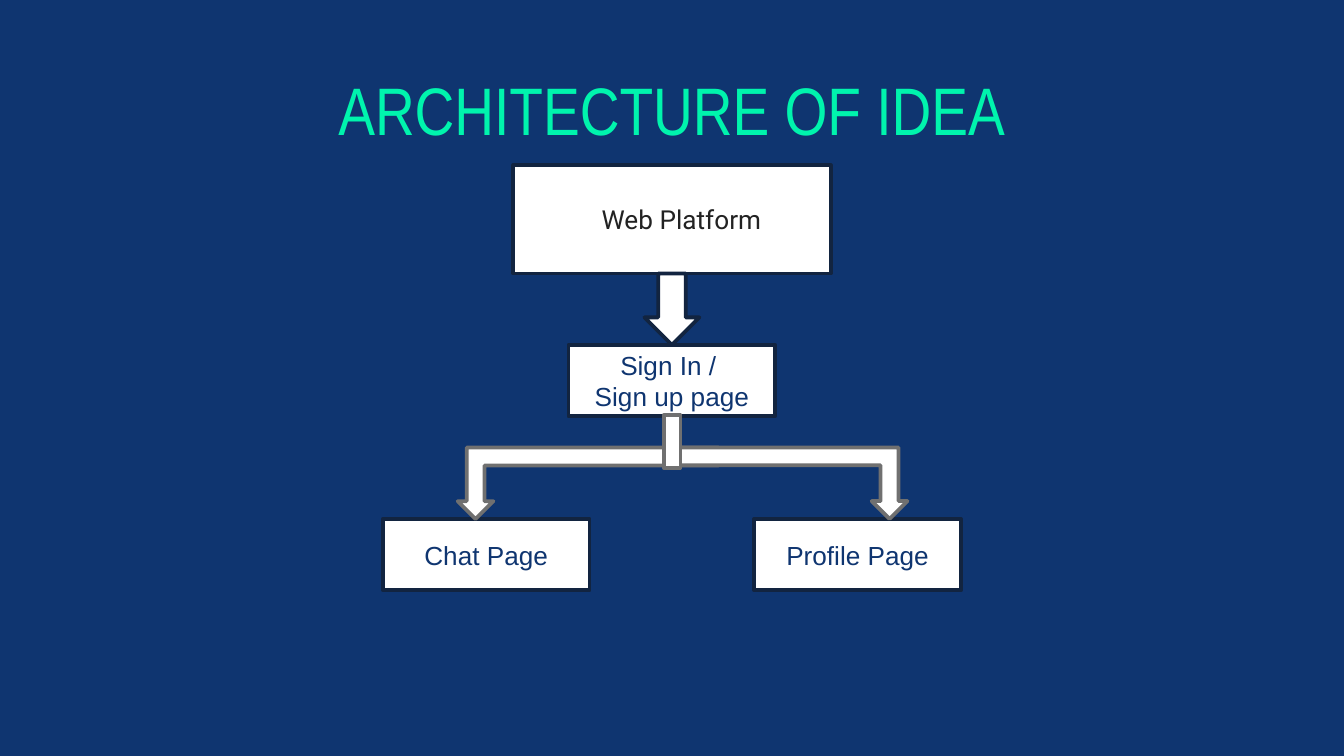
from lxml import etree
from pptx import Presentation
from pptx.dml.color import RGBColor
from pptx.enum.shapes import MSO_SHAPE
from pptx.enum.text import MSO_ANCHOR, MSO_AUTO_SIZE, PP_ALIGN
from pptx.oxml.ns import qn
from pptx.util import Cm, Pt

COLORS = {"navy": "0F3570", "mint": "00F4AD", "white": "FFFFFF",
          "edge": "122440", "gray": "707070", "ink": "222222"}

# Content
TITLE = "ARCHITECTURE OF IDEA"
PLATFORM = "Web Platform"
SIGN_IN = ["Sign In / ", "Sign up page"]
PAGES = ["Chat Page", "Profile Page"]

# Layout in cm
SLIDE_W, SLIDE_H = 25.4, 14.29
MID = SLIDE_W / 2
PAGE_W, UNIT = 3.91, 1.35    # page box width; height shared by boxes and arrows
TOP_W, TOP_H, TOP_Y = 6, 2.05, 3.12
ARROW_Y = TOP_Y + TOP_H
SIGN_Y = ARROW_Y + UNIT
PAGE_Y = 9.81
PAGE_OFFSET = 3.51           # page box centre from the slide centre


def rgb(name):
    return RGBColor.from_string(COLORS[name])


def place(s, x, y, w, h):
    s.left, s.top, s.width, s.height = Cm(x), Cm(y), Cm(w), Cm(h)


def paint(s, line):
    s.fill.solid()
    s.fill.fore_color.rgb = rgb("white")
    s.line.color.rgb = rgb(line)
    s.line.width = Pt(2)


def write(s, lines, size=14, font="Arial", color="navy",
          anchor=MSO_ANCHOR.MIDDLE, margin=None, indent=None):
    tf = s.text_frame
    tf.word_wrap = True
    tf.auto_size = MSO_AUTO_SIZE.NONE
    tf.vertical_anchor = anchor
    if margin is not None:
        tf.margin_left = tf.margin_right = tf.margin_top = tf.margin_bottom = Cm(margin)
    for i, line in enumerate(lines):
        p = tf.paragraphs[0] if i == 0 else tf.add_paragraph()
        p.alignment = PP_ALIGN.CENTER
        p.space_before = Pt(0)
        if indent is not None:
            pPr = p._p.get_or_add_pPr()
            pPr.set("marL", str(Cm(indent)))
            pPr.set("indent", "0")
            etree.SubElement(pPr, qn("a:buNone"))
        r = p.add_run()
        r.text = line
        r.font.size, r.font.name = Pt(size), font
        r.font.color.rgb = rgb(color)


def add_shape(kind, x, y, w, h, line="edge", rotation=0, rounded=False):
    s = slide.shapes.add_shape(kind, Cm(x), Cm(y), Cm(w), Cm(h))
    s.shadow.inherit = False
    s.rotation = rotation
    paint(s, line)
    if rounded:
        etree.SubElement(s.line._get_or_add_ln(), qn("a:round"))
    return s


prs = Presentation()
prs.slide_width, prs.slide_height = Cm(SLIDE_W), Cm(SLIDE_H)
slide = prs.slides.add_slide(prs.slide_layouts[1])
slide.background.fill.solid()
slide.background.fill.fore_color.rgb = rgb("navy")

# Title
title = slide.shapes.title
place(title, 2, 1.3, 21.4, UNIT)
write(title, [TITLE], size=36, font="Arial Narrow", color="mint",
      anchor=MSO_ANCHOR.TOP, margin=0)

# Platform box
platform = slide.placeholders[1]
place(platform, MID - TOP_W / 2, TOP_Y, TOP_W, TOP_H)
paint(platform, "edge")
write(platform, [PLATFORM], font="Roboto", color="ink", margin=0, indent=0.36)

# Sign-in box and the two page boxes
boxes = [(SIGN_IN, MID, SIGN_Y),
         ([PAGES[0]], MID - PAGE_OFFSET, PAGE_Y),
         ([PAGES[1]], MID + PAGE_OFFSET, PAGE_Y)]
for lines, center, y in boxes:
    write(add_shape(MSO_SHAPE.RECTANGLE, center - PAGE_W / 2, y, PAGE_W, UNIT), lines)

# Arrow from platform to sign-in
add_shape(MSO_SHAPE.DOWN_ARROW, MID - 0.52, ARROW_Y, 1.04, UNIT, rounded=True)

# Branching arrows to the pages, with the stem over their joint
branch_y = PAGE_Y - UNIT
add_shape(MSO_SHAPE.BENT_UP_ARROW, 8.65, branch_y, 4.93, UNIT, "gray", 180, True)
right = add_shape(MSO_SHAPE.BENT_UP_ARROW, MID, branch_y, 4.45, UNIT, "gray", rounded=True)
right._element.spPr.find(qn("a:xfrm")).set("flipV", "1")
add_shape(MSO_SHAPE.MATH_MINUS, MID - UNIT / 2, 7.67, UNIT, UNIT, "gray", 90, True)

prs.save("out.pptx")
